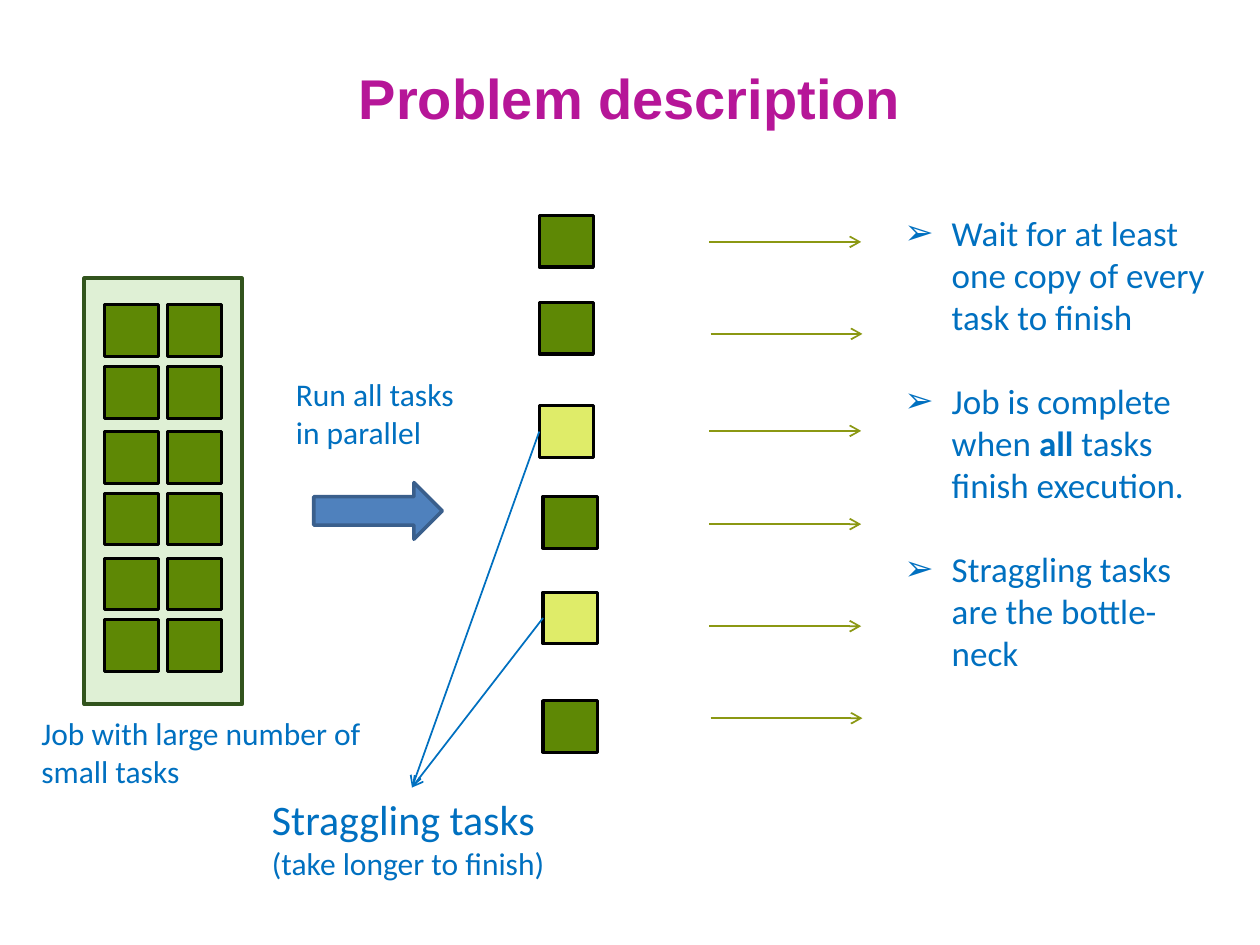
from lxml import etree
from pptx import Presentation
from pptx.dml.color import RGBColor
from pptx.enum.shapes import MSO_CONNECTOR as Link, MSO_SHAPE as Shape
from pptx.enum.text import MSO_ANCHOR as Anchor, PP_ALIGN as Align
from pptx.oxml.ns import qn
from pptx.util import Inches, Pt

COLORS = {
    "title": "B61698", "text": "0070C0", "task": "5E8805", "straggler": "DFEC69",
    "task_line": "000000", "job": "DFF0D5", "job_line": "32541D",
    "run": "4F81BD", "run_line": "3A5F8C", "finish": "8B9813",
}
COLS, ROWS = 100, 75  # grid over the whole slide
TASK_W, TASK_H = 4.3, 4.1


class Deck:
    """Style and current slide; all lengths are grid columns and rows."""

    def __init__(self, width, height):
        self.prs = Presentation()
        self.prs.slide_width, self.prs.slide_height = Inches(width), Inches(height)
        self.slide = self.prs.slides.add_slide(self.prs.slide_layouts[6])

    def x(self, cols):
        return round(self.prs.slide_width * cols / COLS)

    def y(self, rows):
        return round(self.prs.slide_height * rows / ROWS)

    def box(self, left, top, width, height):
        return self.x(left), self.y(top), self.x(width), self.y(height)

    def color(self, name):
        return RGBColor.from_string(COLORS[name])

    def block(self, kind, area, fill, line, weight):
        block = self.slide.shapes.add_shape(kind, *self.box(*area))
        block.shadow.inherit = False
        block.fill.solid()
        block.fill.fore_color.rgb = self.color(fill)
        block.line.color.rgb = self.color(line)
        block.line.width = Pt(weight)
        return block

    def task(self, left, top, fill="task"):
        return self.block(Shape.RECTANGLE, (left, top, TASK_W, TASK_H),
                          fill, "task_line", 1.75)

    def arrow(self, start, end, color):
        arrow = self.slide.shapes.add_connector(
            Link.STRAIGHT, self.x(start[0]), self.y(start[1]),
            self.x(end[0]), self.y(end[1]))
        arrow.line.color.rgb = self.color(color)
        arrow.line.width = Pt(1)
        etree.SubElement(arrow.line._get_or_add_ln(), qn("a:tailEnd"), type="arrow")
        etree.SubElement(arrow._element.spPr, qn("a:effectLst"))
        return arrow

    def text(self, area, paragraphs, size=18, color="text", font="Calibri",
             bold=None, align=Align.LEFT, anchor=Anchor.TOP, bullet=None, gap=0):
        """Each paragraph is a list of (text, font settings) runs; None breaks the line."""
        label = self.slide.shapes.add_textbox(*self.box(*area))
        frame = label.text_frame
        frame.word_wrap = True
        frame.vertical_anchor = anchor
        for number, runs in enumerate(paragraphs):
            par = frame.add_paragraph() if number else frame.paragraphs[0]
            par.alignment = align
            if number:
                par.space_before = Pt(gap)
            if bullet:
                props = par._p.get_or_add_pPr()
                indent = self.x(3.75)
                props.set("marL", str(indent))
                props.set("indent", str(-indent))
                etree.SubElement(props, qn("a:buFont"), typeface="Arial")
                etree.SubElement(props, qn("a:buChar"), char=bullet)
            par.font.size, par.font.name, par.font.bold = Pt(size), font, bold
            par.font.color.rgb = self.color(color)
            for part in runs:
                if part is None:
                    par.add_line_break()
                    continue
                run = par.add_run()
                run.text, settings = part
                for key, value in settings.items():
                    setattr(run.font, key, value)
        return label


def main():
    deck = Deck(10, 7.5)

    # Title
    deck.text((5, 4.2, 90, 7), [[("Problem description", {})]], size=32, color="title",
              font="Arial", bold=True, align=Align.CENTER, anchor=Anchor.MIDDLE)

    # Job holding three groups of two by two tasks
    deck.block(Shape.RECTANGLE, (6.7, 22.1, 12.5, 33.8), "job", "job_line", 2.25)
    for row in range(6):
        group, half = divmod(row, 2)
        for col in range(2):
            deck.task(8.3 + 5 * col, 24.2 + 10.05 * group + 4.9 * half)
    deck.text((2.3, 56.2, 29.2, 7.1), [[("Job with large number of small tasks", {})]])

    # Parallel run
    deck.text((22.5, 29.3, 15.4, 7.1), [[("Run all tasks in parallel", {})]])
    deck.block(Shape.RIGHT_ARROW, (24.9, 38.3, 10.2, 4.5), "run", "run_line", 2)

    # Running tasks, each with its finish arrow
    stragglers = []
    for left, top, fill, start, level in (
            (42.8, 17.1, "task", 56.3, 19.2),
            (42.8, 24, "task", 56.4, 26.5),
            (42.8, 32.2, "straggler", 56.3, 34.2),
            (43.1, 39.4, "task", 56.3, 41.6),
            (43.1, 47, "straggler", 56.3, 49.7),
            (43.1, 55.6, "task", 56.4, 57)):
        running = deck.task(left, top, fill)
        deck.arrow((start, level), (start + 12.05, level), "finish")
        if fill == "straggler":
            stragglers.append((running, (left, top + TASK_H / 2)))

    # Straggler callout
    callout = deck.text((20.6, 62.5, 24.2, 8.1), [
        [("Straggling tasks", {"size": Pt(24)}), None, ("(take longer to finish)", {})]])
    for straggler, side in stragglers:
        pointer = deck.arrow(side, (32.7, 62.5), "text")
        pointer.begin_connect(straggler, 1)
        pointer.end_connect(callout, 0)

    # Consequences
    deck.text((70.8, 16.3, 26.8, 52.8), [
        [("Wait for at least one copy of every task to finish", {})],
        [("Job is complete when ", {}), ("all", {"bold": True}),
         (" tasks finish execution.", {})],
        [("Straggling tasks are the bottle-neck", {})],
    ], size=20, bullet="➢", gap=24)

    deck.prs.save("out.pptx")


if __name__ == "__main__":
    main()
